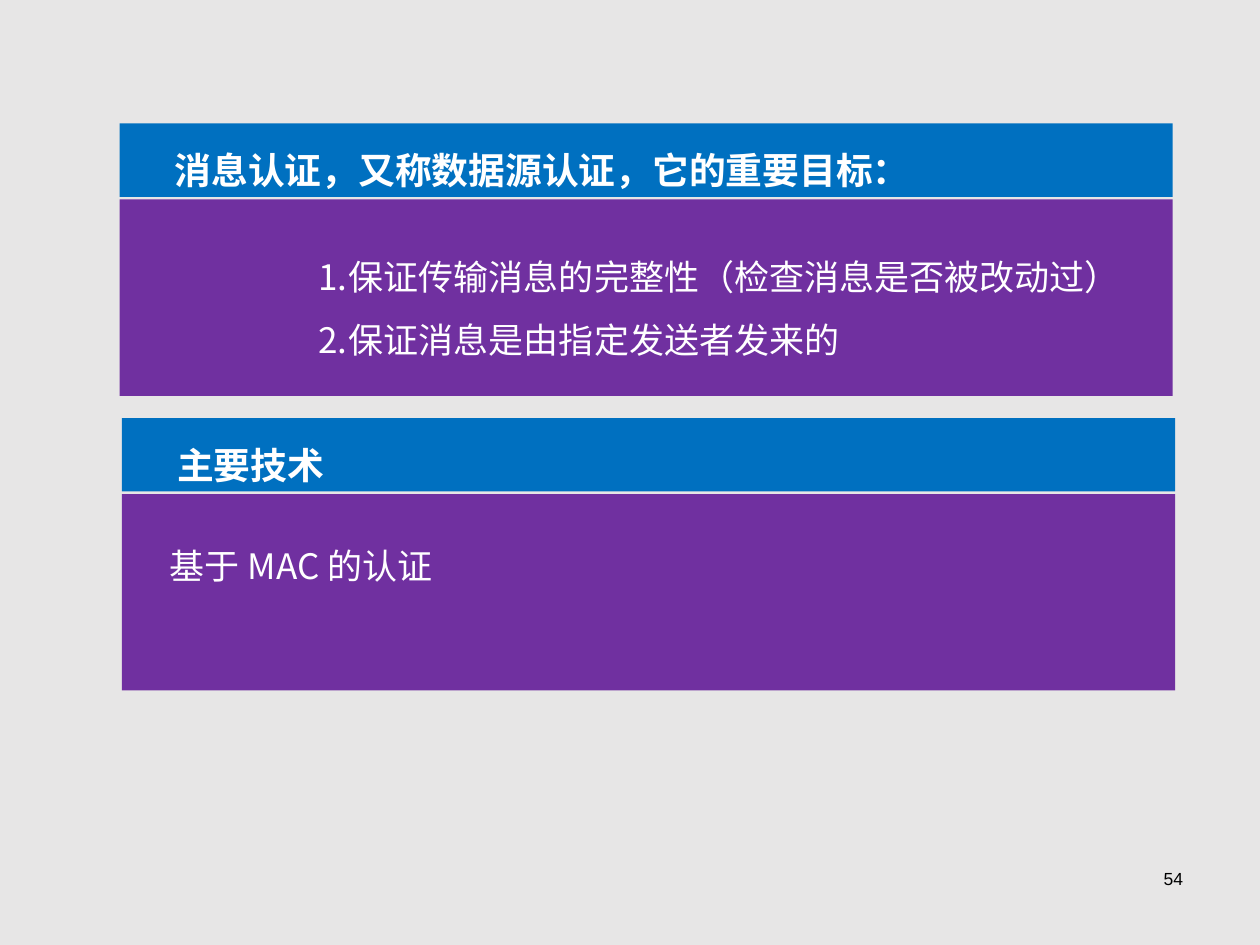
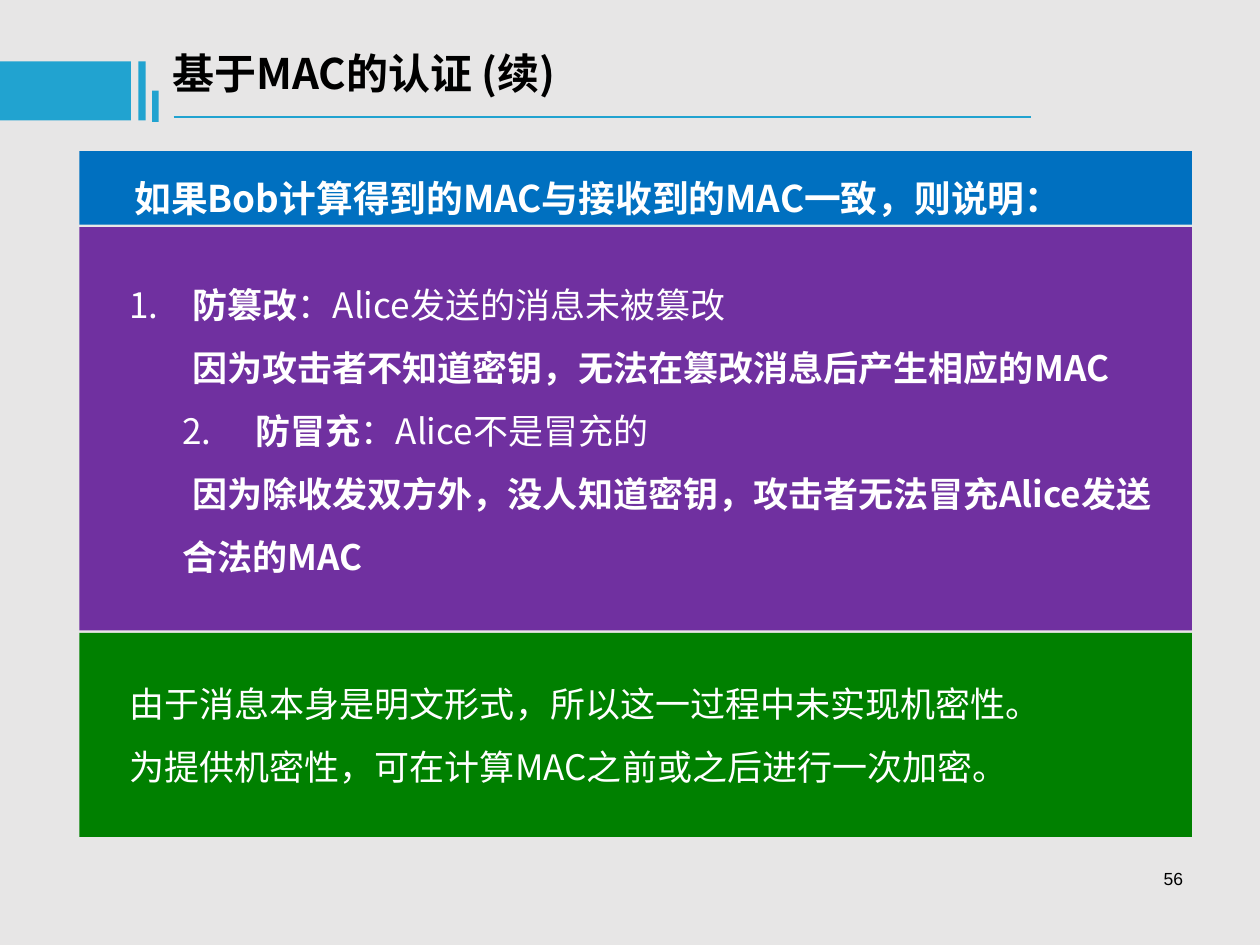
from lxml import etree
from pptx import Presentation
from pptx.dml.color import RGBColor
from pptx.enum import shapes, text
from pptx.oxml import ns
from pptx.util import Cm, Pt

CJK = "Noto Sans CJK SC"
BLUE, PURPLE, GREEN = "0070C0", "7030A0", "008000"
SKY, GREY, WHITE, BLACK = "21A3D0", "E7E6E6", "FFFFFF", "000000"
HEAD, GAP = 1.48, 0.05

# Text between bars alternates plain and bold.
ITEM = dict(left=2.41, first=-0.61, auto=True)
NOTE = dict(left=1.07, first=0.2)
PLAIN = {}

SLIDES = [
    dict(page="54", title=None, cards=[
        dict(left=2.41, top=2.49, width=21.23,
             head="消息认证，又称数据源认证，它的重要目标：",
             parts=[(PURPLE, 3.96, 1.96, 0.58, [
                 ("保证传输消息的完整性（检查消息是否被改动过）", ITEM),
                 ("保证消息是由指定发送者发来的", ITEM)])]),
        dict(left=2.46, top=8.43, width=21.23, head="主要技术",
             parts=[(PURPLE, 3.96, 0.71, 0.46, [
                 ("基于 MAC 的认证", PLAIN)])]),
    ]),
    dict(page="56", title="基于MAC的认证 (续)", cards=[
        dict(left=1.6, top=3.05, width=22.43,
             head="如果Bob计算得到的MAC与接收到的MAC一致，则说明：",
             parts=[
                 (PURPLE, 8.13, 0.76, 0.58, [
                     ("1.\t|防篡改|：Alice发送的消息未被篡改", dict(tab=1.05)),
                     ("|因为攻击者不知道密钥，无法在篡改消息后产生相应的MAC", NOTE),
                     ("2.\t|防冒充|：Alice不是冒充的", dict(first=1.07, tab=2.12)),
                     ("|因为除收发双方外，没人知道密钥，攻击者无法冒充Alice发送合法的MAC", NOTE)]),
                 (GREEN, 4.11, 0.76, 0.46, [
                     ("由于消息本身是明文形式，所以这一过程中未实现机密性。", PLAIN),
                     ("为提供机密性，可在计算MAC之前或之后进行一次加密。", PLAIN)]),
             ]),
    ]),
]
BARS = [(0, 1.24, 2.64, 1.19), (2.79, 1.24, 0.15, 1.19), (3.07, 1.83, 0.13, 0.63)]


def paint(code):
    return RGBColor.from_string(code)


def node(up, tag, **attrs):
    return etree.SubElement(up, ns.qn(tag), attrs)


def add_bar(slide, box, fill):
    bar = slide.shapes.add_shape(shapes.MSO_SHAPE.RECTANGLE, *map(Cm, box))
    bar.shadow.inherit = False
    bar.fill.solid()
    bar.fill.fore_color.rgb = paint(fill)
    bar.line.fill.background()


def set_marks(para, left=0, first=0, tab=None, auto=False):
    props = para._p.get_or_add_pPr()
    props.set("marL", str(Cm(left)))
    props.set("indent", str(Cm(first)))
    if auto:
        node(node(props, "a:buClr"), "a:srgbClr", val=WHITE)
        node(props, "a:buFont", typeface=CJK)
        node(props, "a:buAutoNum", type="arabicPeriod")
    else:
        node(props, "a:buNone")
    if tab:
        node(node(props, "a:tabLst"), "a:tab", pos=str(Cm(tab)), algn="l")


def add_text(slide, box, lines, size=20, color=WHITE, face=CJK, space=1.5):
    frame = slide.shapes.add_textbox(*map(Cm, box)).text_frame
    frame.word_wrap = True
    for n, (line, marks) in enumerate(lines):
        para = frame.add_paragraph() if n else frame.paragraphs[0]
        set_marks(para, **marks)
        para.line_spacing = space
        font = para.font
        font.size, font.name = Pt(size), face
        font.color.rgb = paint(color)
        node(para._p.pPr.find(ns.qn("a:defRPr")), "a:ea", typeface=face)
        for k, part in enumerate(line.split("|")):
            if part:
                run = para.add_run()
                run.text = part
                run.font.bold = k % 2 == 1
    return frame


def add_title(slide, title):
    add_text(slide, (3.23, 0.84, 17.37, 1.27), [("|" + title, PLAIN)],
             24, BLACK, space=1.0)
    for box in BARS:
        add_bar(slide, box, SKY)
    rule = slide.shapes.add_connector(
        shapes.MSO_CONNECTOR.STRAIGHT, Cm(3.5), Cm(2.36), Cm(20.78), Cm(2.36))
    rule.line.color.rgb = paint(SKY)
    rule.line.width = Pt(1.5)
    node(rule._element.spPr, "a:effectLst")


def add_card(slide, left, top, width, head, parts):
    add_bar(slide, (left, top, width, HEAD), BLUE)
    add_text(slide, (left + 0.86, top - 0.08, width - 0.86, 1.6),
             [("|" + head, PLAIN)], 21)
    y = top + HEAD + GAP
    for fill, high, dx, dy, lines in parts:
        add_bar(slide, (left, y, width, high), fill)
        add_text(slide, (left + dx, y + dy, width - dx, high - 2 * dy), lines)
        y += high + GAP


def add_page(slide, page):
    frame = add_text(slide, (18.21, 17.35, 5.92, 1.32), [(page, PLAIN)],
                     10, BLACK, "Arial", 1.0)
    frame.margin_left = frame.margin_right = Cm(0.28)
    frame.margin_top = frame.margin_bottom = Cm(0.15)
    frame.paragraphs[0].alignment = text.PP_ALIGN.RIGHT


def main():
    deck = Presentation()
    deck.slide_width, deck.slide_height = Cm(25.4), Cm(19.05)
    for data in SLIDES:
        slide = deck.slides.add_slide(deck.slide_layouts[6])
        slide.background.fill.solid()
        slide.background.fill.fore_color.rgb = paint(GREY)
        add_page(slide, data["page"])
        if data["title"]:
            add_title(slide, data["title"])
        for card in data["cards"]:
            add_card(slide, **card)
    deck.save("out.pptx")


if __name__ == "__main__":
    main()
